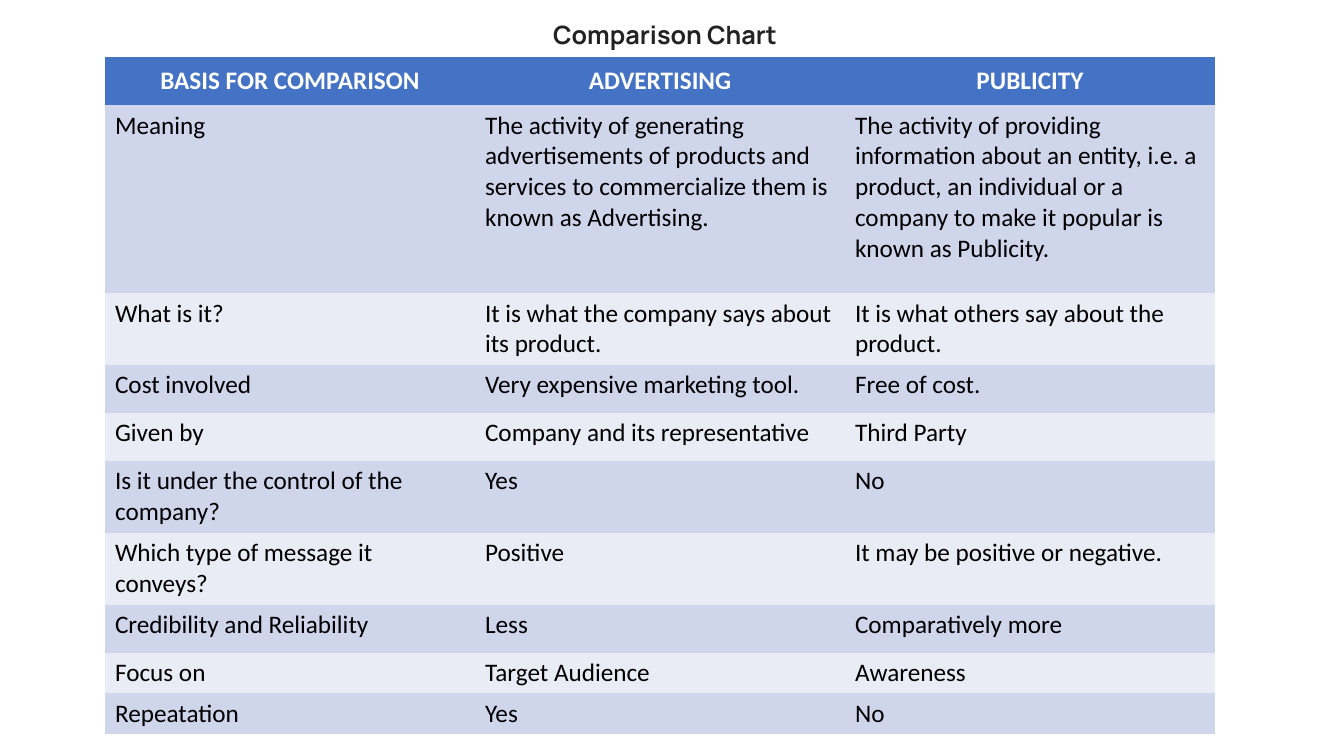
from dataclasses import dataclass

from pptx import Presentation
from pptx.dml.color import RGBColor
from pptx.enum.text import MSO_ANCHOR, MSO_AUTO_SIZE, PP_ALIGN
from pptx.oxml.ns import qn
from pptx.util import Pt

LEFT, CENTER = PP_ALIGN.LEFT, PP_ALIGN.CENTER
TOP, MIDDLE = MSO_ANCHOR.TOP, MSO_ANCHOR.MIDDLE
NO_FIT = MSO_AUTO_SIZE.NONE
PLAIN_TABLE_STYLE = "{2D5ABB26-0587-4C30-8999-92F81FD0307C}"

# Content: each row has its height in pixels and its three cells
TITLE = "Comparison Chart"
ROWS = [
    (48, ("BASIS FOR COMPARISON", "ADVERTISING", "PUBLICITY")),
    (188, ("Meaning",
           "The activity of generating advertisements of products and "
           "services to commercialize them is known as Advertising.",
           "The activity of providing information about an entity, i.e. a product, "
           "an individual or a company to make it popular is known as Publicity.")),
    (72, ("What is it?",
          "It is what the company says about its product.",
          "It is what others say about the product.")),
    (48, ("Cost involved", "Very expensive marketing tool.", "Free of cost.")),
    (48, ("Given by", "Company and its representative", "Third Party")),
    (72, ("Is it under the control of the company?", "Yes", "No")),
    (71, ("Which type of message it conveys?", "Positive",
          "It may be positive or negative.")),
    (48, ("Credibility and Reliability", "Less", "Comparatively more")),
    (41, ("Focus on", "Target Audience", "Awareness")),
    (41, ("Repeatation", "Yes", "No")),
]

# Layout in pixels
SLIDE_SIZE = (1344, 756)
TITLE_BOX = (543, 14, 302, 72)
TABLE_LEFT, TABLE_TOP, COLUMN_WIDTH = 105, 57, 370


@dataclass(frozen=True)
class Theme:
    title_font: str = "Manrope"
    body_font: str = "Calibri"
    size: int = 18
    title: str = "222222"
    header_text: str = "FFFFFF"
    body_text: str = "000000"
    header_fill: str = "4472C4"
    bands: tuple = ("CFD5EA", "E9EBF5")


THEME = Theme()


def px(pixels):
    return round(pixels * 914400 / 100.8)


def write(text_frame, text, font_name, color, bold, alignment):
    paragraph = text_frame.paragraphs[0]
    paragraph.alignment = alignment
    run = paragraph.add_run()
    run.text = text
    run.font.name = font_name
    run.font.size = Pt(THEME.size)
    run.font.bold = bold
    run.font.color.rgb = RGBColor.from_string(color)


presentation = Presentation()
presentation.slide_width, presentation.slide_height = map(px, SLIDE_SIZE)
slide = presentation.slides.add_slide(presentation.slide_layouts.get_by_name("Title Only"))

# Title
title = slide.shapes.title
title.left, title.top, title.width, title.height = map(px, TITLE_BOX)
title.text_frame.auto_size = NO_FIT
title.text_frame.word_wrap = True
title.text_frame.vertical_anchor = TOP
write(title.text_frame, TITLE, THEME.title_font, THEME.title, True, LEFT)

# Comparison table
column_count = len(ROWS[0][1])
table_height = sum(height for height, _ in ROWS)
frame = slide.shapes.add_table(
    len(ROWS), column_count, px(TABLE_LEFT), px(TABLE_TOP),
    px(COLUMN_WIDTH * column_count), px(table_height))
table = frame.table
next(frame._element.iter(qn("a:tableStyleId"))).text = PLAIN_TABLE_STYLE
for column in table.columns:
    column.width = px(COLUMN_WIDTH)

for row_index, (height, texts) in enumerate(ROWS):
    table.rows[row_index].height = px(height)
    is_header = row_index == 0
    fill = THEME.header_fill if is_header else THEME.bands[(row_index - 1) % 2]
    color = THEME.header_text if is_header else THEME.body_text
    for cell, text in zip(table.rows[row_index].cells, texts):
        cell.fill.solid()
        cell.fill.fore_color.rgb = RGBColor.from_string(fill)
        cell.vertical_anchor = MIDDLE if is_header else TOP
        write(cell.text_frame, text, THEME.body_font, color, is_header,
              CENTER if is_header else LEFT)

presentation.save("out.pptx")
